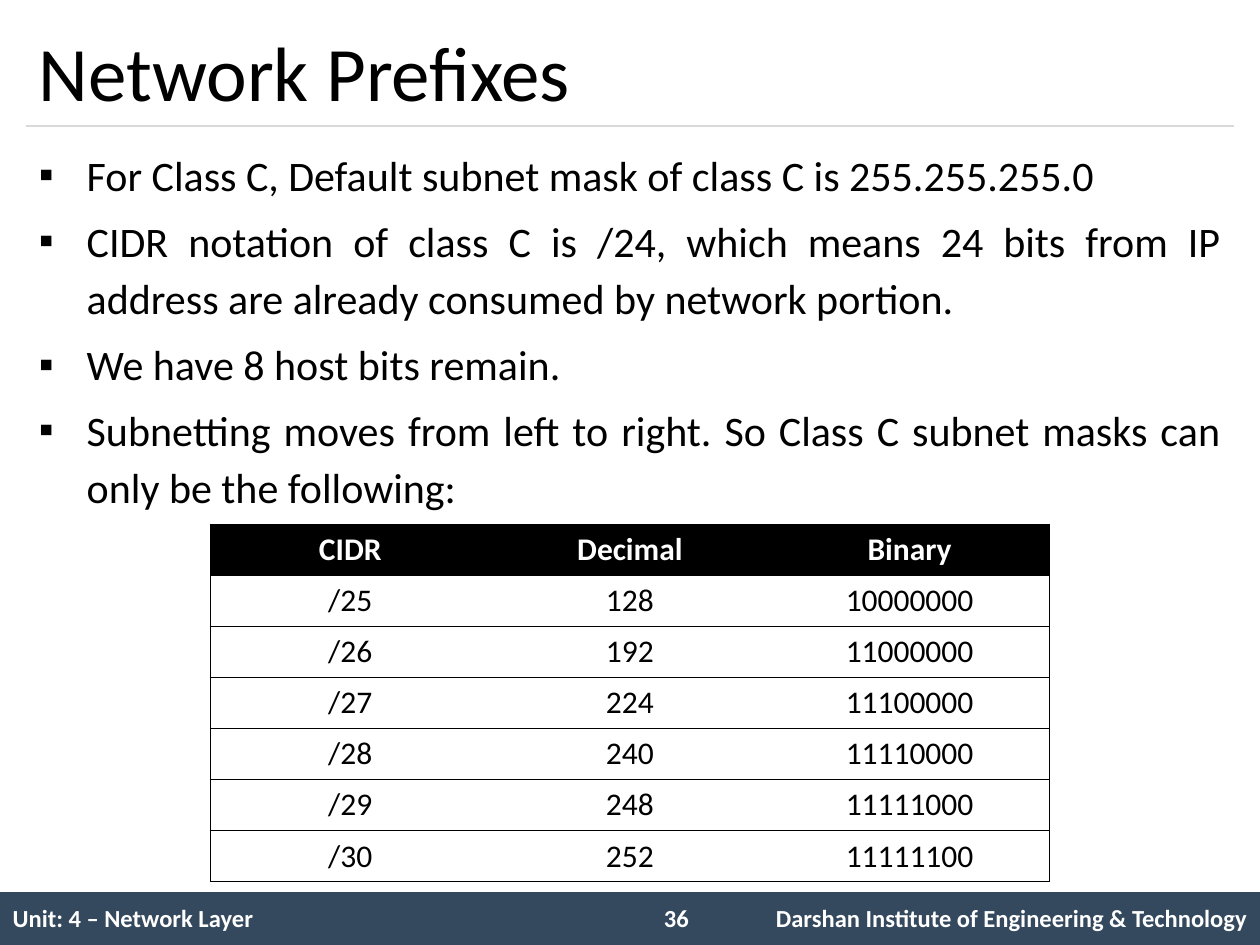
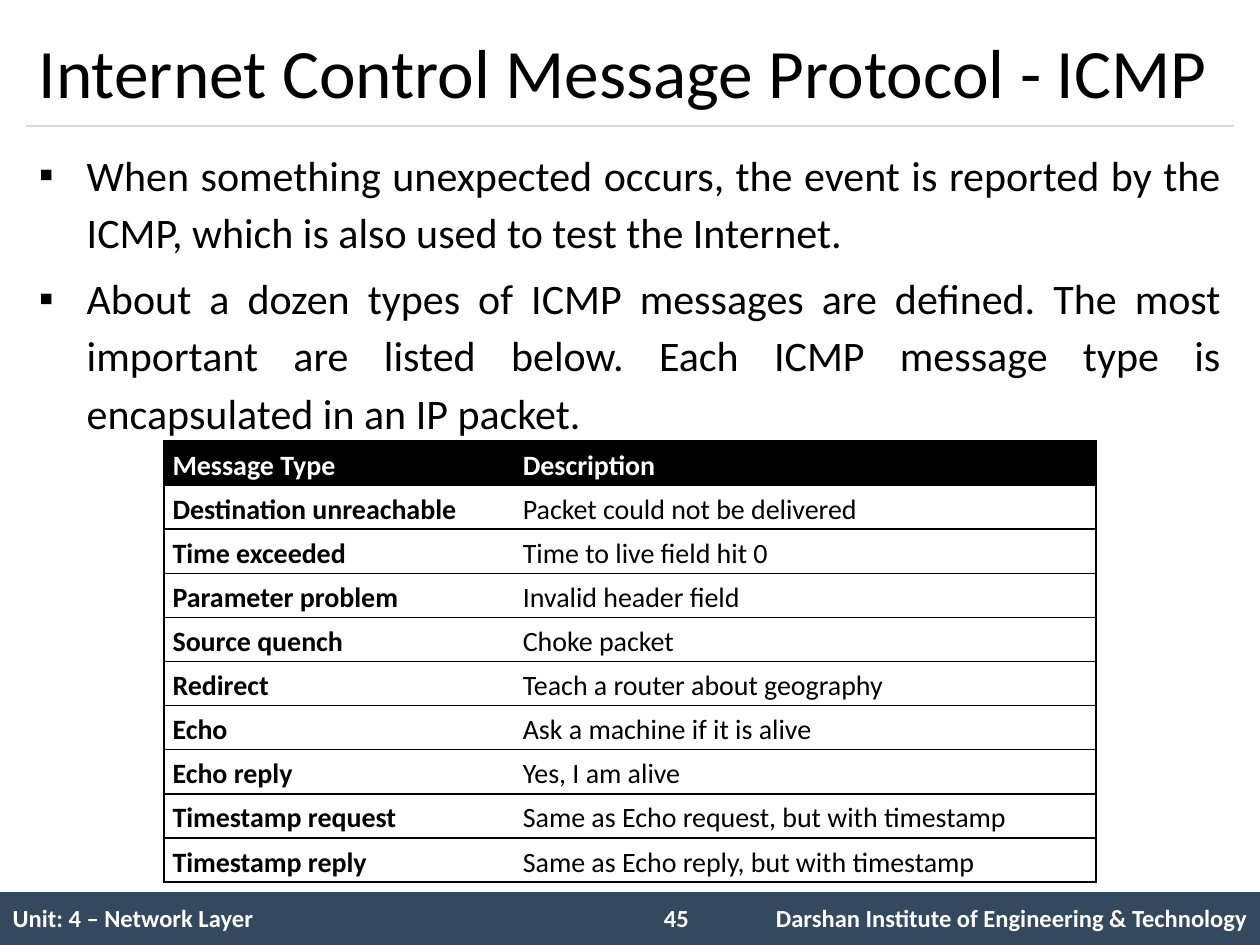
from lxml import etree
from pptx import Presentation
from pptx.dml.color import RGBColor
from pptx.enum.shapes import MSO_CONNECTOR as Conn, MSO_SHAPE as Shape
from pptx.enum.text import MSO_ANCHOR as Anchor, PP_ALIGN as Align
from pptx.oxml.ns import qn
from pptx.util import Inches, Pt

FONT = "Calibri"
BLACK, WHITE = "000000", "FFFFFF"
BAND, RULE = "34495E", "D9D9D9"
PLAIN = "{2D5ABB26-0587-4C30-8999-92F81FD0307C}"  # no style, no grid
UNIT = "Unit: 4 – Network Layer"
SCHOOL = "Darshan Institute of Engineering & Technology"

PREFIX = [
    "For Class C, Default subnet mask of class C is 255.255.255.0",
    "CIDR notation of class C is /24, which means 24 bits from IP address "
    "are already consumed by network portion.",
    "We have 8 host bits remain.",
    "Subnetting moves from left to right. So Class C subnet masks can only "
    "be the following:",
]
MASKS = [("CIDR", "Decimal", "Binary")] + [
    (f"/{24 + n}", str(256 - 2 ** (8 - n)), "1" * n + "0" * (8 - n))
    for n in range(1, 7)
]
ICMP = [
    "When something unexpected occurs, the event is reported by the ICMP, "
    "which is also used to test the Internet.",
    "About a dozen types of ICMP messages are defined. The most important "
    "are listed below. Each ICMP message type is encapsulated in an IP packet.",
]
TYPES = [
    ("Message Type", "Description"),
    ("Destination unreachable", "Packet could not be delivered"),
    ("Time exceeded", "Time to live field hit 0"),
    ("Parameter problem", "Invalid header field"),
    ("Source quench", "Choke packet"),
    ("Redirect", "Teach a router about geography"),
    ("Echo", "Ask a machine if it is alive"),
    ("Echo reply", "Yes, I am alive"),
    ("Timestamp request", "Same as Echo request, but with timestamp"),
    ("Timestamp reply", "Same as Echo reply, but with timestamp"),
]


def tint(code):
    return RGBColor.from_string(code)


def put(para, text, size=18, color=BLACK, bold=False, align=Align.LEFT,
        lead=None, before=None):
    """Write text into a paragraph and format it."""
    para.text = text
    para.alignment = align
    if lead:
        para.line_spacing = lead
    if before:
        para.space_before = Pt(before)
    font = para.font
    font.name, font.size, font.bold = FONT, Pt(size), bold
    font.color.rgb = tint(color)


def add_box(slide, left, top, width, height, anchor=Anchor.TOP):
    box = slide.shapes.add_textbox(
        Inches(left), Inches(top), Inches(width), Inches(height))
    frame = box.text_frame
    frame.word_wrap = True
    frame.vertical_anchor = anchor
    return frame


def add_dot(para):
    """Give a paragraph a hanging square bullet."""
    props = para._p.get_or_add_pPr()
    props.set("marL", str(Inches(0.38)))
    props.set("indent", str(-Inches(0.38)))
    etree.SubElement(props, qn("a:buFont"), typeface="Arial")
    etree.SubElement(props, qn("a:buChar"), char="▪")


def add_list(slide, items):
    frame = add_box(slide, 0.21, 1.08, 9.58, 5.83)
    for i, item in enumerate(items):
        para = frame.add_paragraph() if i else frame.paragraphs[0]
        add_dot(para)
        put(para, item, size=24, align=Align.JUSTIFY, lead=1.14,
            before=4.8 if i else None)


def add_edge(cell, sides, width):
    """Draw black borders on the named sides, in the order L, R, T, B."""
    props = cell._tc.get_or_add_tcPr()
    for side in sides:
        line = etree.SubElement(props, qn(f"a:ln{side}"), w=str(Pt(width)))
        fill = etree.SubElement(line, qn("a:solidFill"))
        etree.SubElement(fill, qn("a:srgbClr"), val=BLACK)


def add_table(slide, left, top, cols, height, rows):
    """Add an unstyled table and return it."""
    shape = slide.shapes.add_table(
        rows, len(cols), Inches(left), Inches(top),
        Inches(sum(cols)), Inches(height))
    shape.element.xpath(".//a:tableStyleId")[0].text = PLAIN
    table = shape.table
    table.first_row = table.horz_banding = False
    for col, width in zip(table.columns, cols):
        col.width = Inches(width)
    return table


def add_grid(slide, left, top, cols, height, data, edge, tight=False,
             lead_bold=False, **style):
    """Add a table with a black head row and ruled white rows."""
    table = add_table(slide, left, top, cols, height, len(data))
    last = len(cols) - 1
    for r, row in enumerate(data):
        for c, text in enumerate(row):
            cell = table.cell(r, c)
            sides = ["L"] * (c == 0) + ["R"] * (c == last) + ["T", "B"]
            add_edge(cell, sides, edge)
            cell.fill.solid()
            cell.fill.fore_color.rgb = tint(WHITE if r else BLACK)
            if tight:
                cell.margin_left = cell.margin_right = Inches(0.07)
                cell.margin_top = cell.margin_bottom = 0
                cell.vertical_anchor = Anchor.MIDDLE
            put(cell.text_frame.paragraphs[0], text,
                color=BLACK if r else WHITE,
                bold=r == 0 or (lead_bold and c == 0), **style)


def add_foot(slide, number):
    band = slide.shapes.add_shape(
        Shape.RECTANGLE, 0, Inches(7.08), Inches(10), Inches(0.42))
    band.shadow.inherit = False
    band.fill.solid()
    band.fill.fore_color.rgb = tint(BAND)
    band.line.fill.background()
    table = add_table(slide, 0, 7.08, (5.08, 0.67, 4.25), 0.43, 1)
    for c, text, align in ((0, UNIT, Align.LEFT), (2, SCHOOL, Align.RIGHT)):
        cell = table.cell(0, c)
        cell.vertical_anchor = Anchor.MIDDLE
        put(cell.text_frame.paragraphs[0], text, size=14, color=WHITE,
            bold=True, align=align)
    # The empty middle cell needs a small size to keep the row low.
    table.cell(0, 1).text_frame.paragraphs[0].font.size = Pt(14)
    frame = add_box(slide, 5.17, 7.12, 0.58, 0.34)
    put(frame.paragraphs[0], str(number), size=14, color=WHITE, bold=True)


def add_rule(slide):
    rule = slide.shapes.add_connector(
        Conn.STRAIGHT, Inches(0.21), Inches(1), Inches(9.79), Inches(1))
    rule.line.color.rgb = tint(RULE)
    rule.line.width = Pt(0.75)
    etree.SubElement(rule.element.spPr, qn("a:effectLst"))


def add_page(deck, number, title, items, size=44):
    """Add a slide with footer, title, rule and bullet list."""
    slide = deck.slides.add_slide(deck.slide_layouts[6])
    add_foot(slide, number)
    add_rule(slide)
    frame = add_box(slide, 0.21, 0.12, 9.58, 0.88, Anchor.MIDDLE)
    put(frame.paragraphs[0], title, size=size)
    add_list(slide, items)
    return slide


def main():
    deck = Presentation()
    deck.slide_width, deck.slide_height = Inches(10), Inches(7.5)

    slide = add_page(deck, 36, "Network Prefixes", PREFIX)
    add_grid(slide, 1.67, 4.16, (2.22,) * 3, 2.84, MASKS, 0.75,
             size=18, align=Align.CENTER)

    slide = add_page(deck, 45, "Internet Control Message Protocol - ICMP",
                     ICMP, size=39.6)
    add_grid(slide, 1.3, 3.5, (2.78, 4.62), 3.5, TYPES, 1, tight=True,
             lead_bold=True, size=16, lead=1.15)

    deck.save("out.pptx")


if __name__ == "__main__":
    main()
